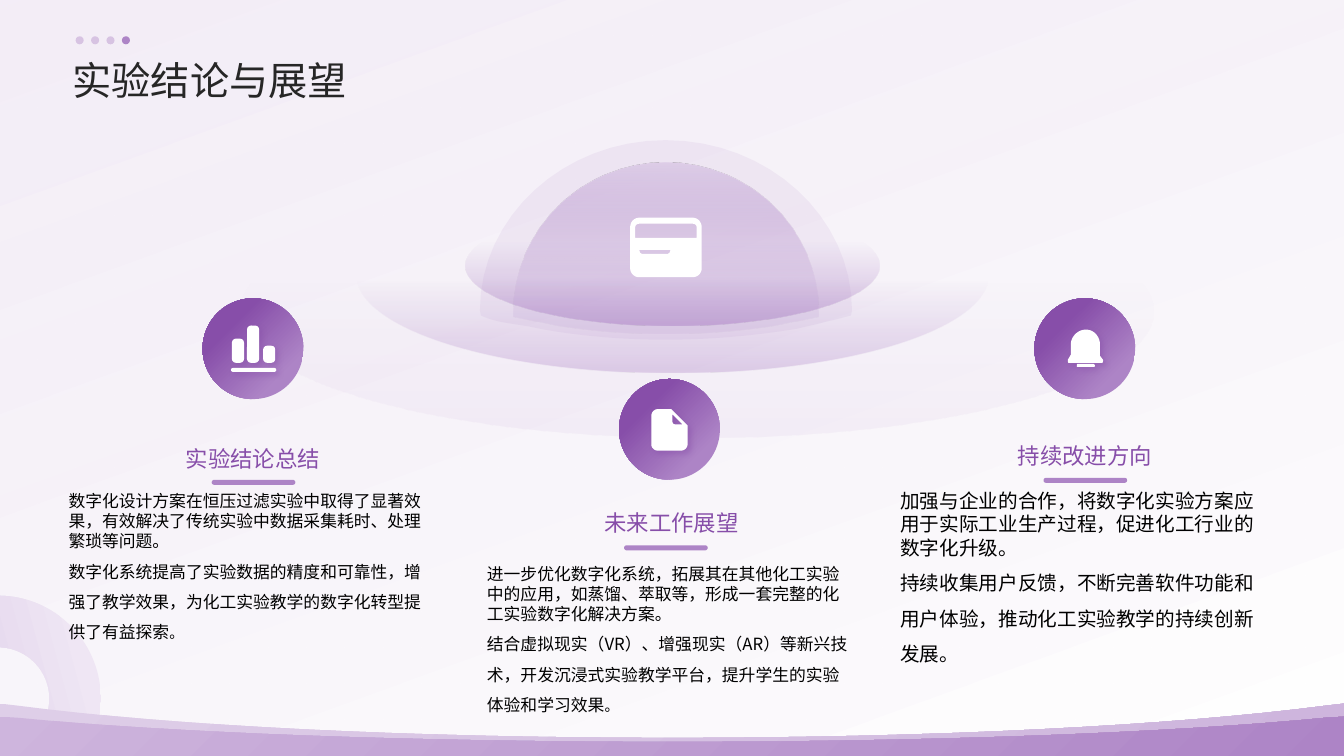
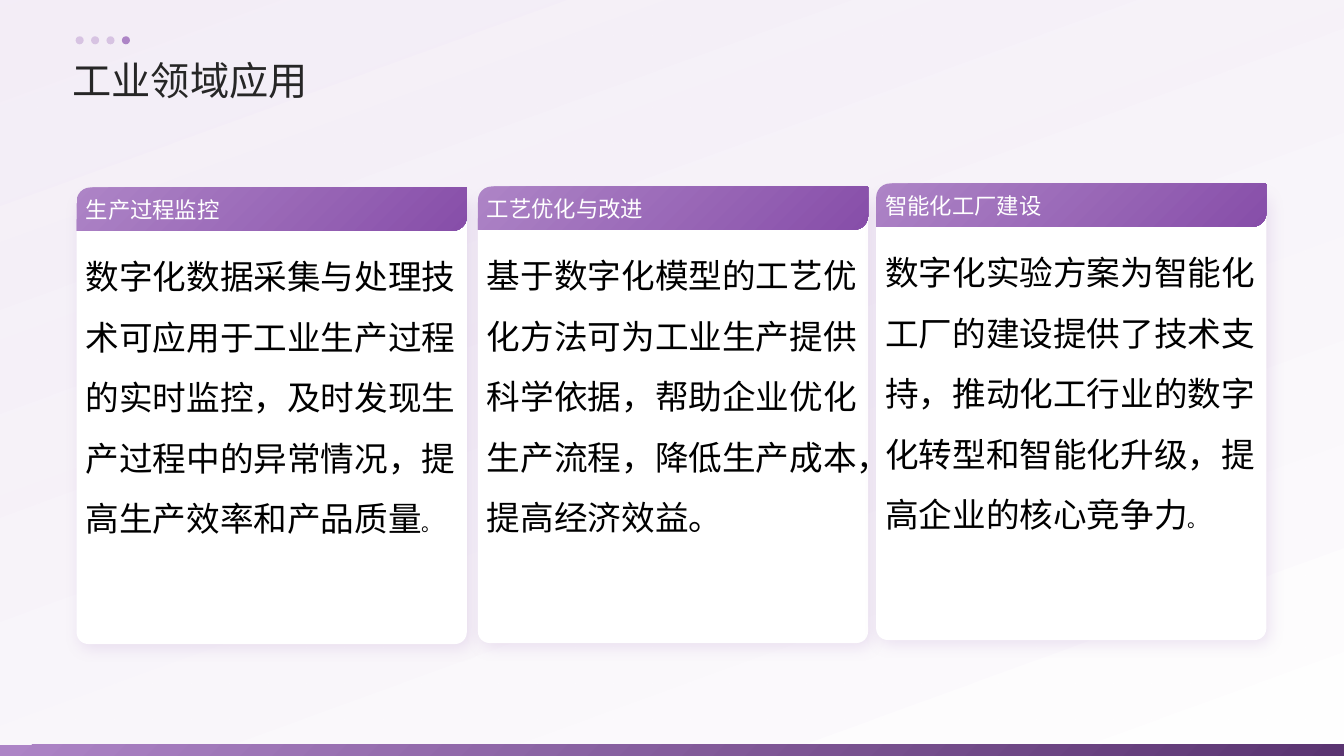
"""Build two slides: experiment conclusions and outlook, and industrial applications."""
from lxml import etree
from pptx import Presentation, util as u
from pptx.dml.color import RGBColor
from pptx.enum import shapes, text
from pptx.oxml.ns import qn

FONT = "Noto Sans CJK SC"
C = {
    "deep": "874EA9", "violet": "AD84C6", "night": "5A3471", "mid": "CEB5DD",
    "pale": "DECEE8", "mist": "EFE6F4", "white": "FFFFFF", "black": "000000", "title": "262626",
}
MSO = shapes.MSO_SHAPE
ANCHOR = text.MSO_ANCHOR
WIDTH, HEIGHT = 13.33, 7.5
WHITE = [(0, "white", 100)]
VIOLET = [(0, "violet", 100)]
ICON_SHADOW = ("deep", 40, 4, 3)
CARD_SHADOW = ("violet", 21, 11, 3)


def paint(sp, stops, angle=0, shadow=None):
    sp.shadow.inherit = False
    sp.line.fill.background()
    pr = sp._element.spPr
    if len(stops) == 1:
        sp.fill.solid()
        sp.fill.fore_color.rgb = RGBColor.from_string(C[stops[0][1]])
        if stops[0][2] < 100:
            color = pr.find(qn("a:solidFill"))[0]
            etree.SubElement(color, qn("a:alpha"), val=str(stops[0][2] * 1000))
    else:
        sp.fill.gradient()
        grad = pr.find(qn("a:gradFill"))
        grad.find(qn("a:lin")).set("ang", str(angle * 60000))
        stop_list = grad.find(qn("a:gsLst"))
        for old in list(stop_list):
            stop_list.remove(old)
        for pos, name, alpha in stops:
            stop = etree.SubElement(stop_list, qn("a:gs"), pos=str(pos * 1000))
            color = etree.SubElement(stop, qn("a:srgbClr"), val=C[name])
            etree.SubElement(color, qn("a:alpha"), val=str(alpha * 1000))
    if shadow:
        name, alpha, blur, dist = shadow
        outer = etree.SubElement(
            pr.find(qn("a:effectLst")), qn("a:outerShdw"), blurRad=str(u.Pt(blur)),
            dist=str(u.Pt(dist)), dir=str(45 * 60000), algn="tl", rotWithShape="0")
        color = etree.SubElement(outer, qn("a:srgbClr"), val=C[name])
        etree.SubElement(color, qn("a:alpha"), val=str(alpha * 1000))


def write(s, box, paragraphs, size, color, anchor=ANCHOR.TOP, align=None, tail=None):
    tf = s.shapes.add_textbox(*map(u.Inches, box)).text_frame
    tf.word_wrap = True
    tf.vertical_anchor = anchor
    tf.margin_left = tf.margin_top = tf.margin_right = tf.margin_bottom = 0
    for i, (words, spacing) in enumerate(paragraphs):
        p = tf.add_paragraph() if i else tf.paragraphs[0]
        ending = tail and i == len(paragraphs) - 1
        p.text = words[:-1] if ending else words
        if ending:
            p.add_run().text = words[-1]
        p.line_spacing = spacing
        p.alignment = align
        for r in p.runs:
            r.font.name = FONT
            r.font.size = u.Pt(size)
            r.font.color.rgb = RGBColor.from_string(C[color])
            etree.SubElement(r.font._element, qn("a:ea"), typeface=FONT)
        if ending:
            p.runs[-1].font.size = u.Pt(tail)


prs = Presentation()
prs.slide_width, prs.slide_height = u.Inches(WIDTH), u.Inches(HEIGHT)

slides = []
for title in ("实验结论与展望", "工业领域应用"):
    s = prs.slides.add_slide(prs.slide_layouts[6])
    slides.append(s)
    sp = s.shapes.add_shape(MSO.RECTANGLE, 0, 0, prs.slide_width, prs.slide_height)
    paint(sp, [(0, "mist", 67), (100, "white", 92)], 70)
    write(s, (0.72, 0.51, 11.88, 0.51), [(title, 1.1)], 28, "title", ANCHOR.MIDDLE)
    for i in range(4):
        sp = s.shapes.add_shape(MSO.OVAL, u.Inches(0.75 + i * 0.153), u.Inches(0.36),
                                u.Inches(0.08), u.Inches(0.08))
        paint(sp, [(0, "violet", 100 if i == 3 else 40)])
outlook, industry = slides

s = outlook
rings = [
    ((2.38, 1.83, 9.06, 2.51), [(0, "violet", 0), (37, "violet", 0), (100, "violet", 7)]),
    ((3.54, 1.75, 6.26, 1.95), [(53, "violet", 0), (100, "violet", 34)]),
    ((4.62, 2.04, 4.1, 1.19), [(30, "violet", 0), (100, "violet", 53)]),
]
for box, stops in rings:
    paint(s.shapes.add_shape(MSO.OVAL, *map(u.Inches, box)), stops, 90)

sp = s.shapes.add_shape(MSO.DONUT, *map(u.Inches, (-1.04, 5.91, 2.04, 2.04)))
sp.rotation = 300
paint(sp, [(22, "mist", 100), (73, "pale", 100)], 225)

columns = [
    (0.68, (2.01, 2.96), (2.1, 4.76), 4.05, 4.87, 12, 10.3, "实验结论总结",
     "数字化设计方案在恒压过滤实验中取得了显著效果，有效解决了传统实验中数据采集耗时、处理繁琐等问题。",
     "数字化系统提高了实验数据的精度和可靠性，增强了教学效果，为化工实验教学的数字化转型提供了有益探索。"),
    (4.83, (6.14, 3.76), (6.19, 5.41), 4.69, 5.59, 12, 10.3, "未来工作展望",
     "进一步优化数字化系统，拓展其在其他化工实验中的应用，如蒸馏、萃取等，形成一套完整的化工实验数字化解决方案。",
     "结合虚拟现实（VR）、增强现实（AR）等新兴技术，开发沉浸式实验教学平台，提升学生的实验体验和学习效果。"),
    (8.93, (10.26, 2.96), (10.35, 4.74), 4.02, 4.85, 14, None, "持续改进方向",
     "加强与企业的合作，将数字化实验方案应用于实际工业生产过程，促进化工行业的数字化升级。",
     "持续收集用户反馈，不断完善软件功能和用户体验，推动化工实验教学的持续创新发展。"),
]
for x, disc, rule, head_y, body_y, size, tail, head, first, second in columns:
    sp = s.shapes.add_shape(MSO.OVAL, *map(u.Inches, (*disc, 1, 1)))
    paint(sp, [(22, "violet", 100), (73, "deep", 100)], 225)
    sp = s.shapes.add_shape(MSO.ROUNDED_RECTANGLE, *map(u.Inches, (*rule, 0.83, 0.05)))
    sp.adjustments[0] = 0.5
    paint(sp, VIOLET)
    write(s, (x, head_y, 3.66, 0.63), [(head, 1.3)], 16, "deep",
          ANCHOR.BOTTOM, text.PP_ALIGN.CENTER)
    write(s, (x, body_y, 3.66, 1.36), [(first, 1.0), (second, 1.5)], size, "black", tail=tail)

halo = """M 6.6 1.39, C 7.62 1.39 8.45 2.15 8.45 3.08, L 8.44 3.13, C 8.25 3.18 8.08 3.22 7.91 3.26,
    C 7.49 3.33 7.04 3.37 6.6 3.37, C 6.17 3.37 5.69 3.33 5.3 3.25,
    C 5.12 3.21 4.94 3.21 4.77 3.13, L 4.76 3.08, C 4.76 2.15 5.59 1.39 6.6 1.39"""
dome = """M 6.6 1.61, C 7.44 1.61 8.12 2.27 8.12 3.1, L 8.12 3.14 7.68 3.23,
    C 7.35 3.28 6.98 3.31 6.6 3.31, C 6.22 3.31 5.86 3.28 5.53 3.23, L 5.09 3.14 5.09 3.1,
    C 5.09 2.27 5.77 1.61 6.6 1.61"""
back_wave = """M 0 6.98, L 0.17 7, C 1.71 7.2 4.05 7.32 6.67 7.32, C 9.28 7.32 11.62 7.2 13.16 7,
    L 13.33 6.98 13.33 7.5 0 7.5"""
front_wave = """M 0 7.11, L 0.17 7.12, C 1.71 7.27 4.05 7.36 6.67 7.36,
    C 9.28 7.36 11.62 7.27 13.16 7.12, L 13.33 7.11 13.33 7.5 0 7.5"""
window = """M 6.34 2.48, L 6.35 2.51, C 6.36 2.51 6.36 2.52 6.37 2.52, L 6.62 2.52,
    C 6.63 2.52 6.63 2.51 6.64 2.51, L 6.65 2.48,
    M 6.34 2.22, C 6.32 2.22 6.3 2.23 6.3 2.26, L 6.3 2.36 6.91 2.36 6.91 2.26,
    C 6.91 2.23 6.89 2.22 6.87 2.22,
    M 6.34 2.16, L 6.87 2.16, C 6.92 2.16 6.96 2.2 6.96 2.26, L 6.96 2.66,
    C 6.96 2.71 6.92 2.75 6.87 2.75, L 6.34 2.75, C 6.29 2.75 6.25 2.71 6.25 2.66,
    L 6.25 2.26, C 6.25 2.2 6.29 2.16 6.34 2.16"""
bell = """M 10.69 3.61, L 10.84 3.61, C 10.85 3.61 10.86 3.62 10.86 3.63,
    C 10.86 3.64 10.85 3.64 10.84 3.64, L 10.69 3.64, C 10.68 3.64 10.68 3.64 10.68 3.63,
    C 10.68 3.62 10.68 3.61 10.69 3.61,
    M 10.77 3.27, C 10.85 3.27 10.91 3.34 10.91 3.42, L 10.91 3.53 10.94 3.57,
    C 10.94 3.58 10.94 3.6 10.93 3.6, L 10.6 3.6, C 10.59 3.6 10.59 3.58 10.59 3.57,
    L 10.62 3.52 10.62 3.42, C 10.62 3.34 10.69 3.27 10.77 3.27"""
page = """M 6.67 4.11, L 6.67 4.18, C 6.67 4.2 6.68 4.21 6.7 4.21, L 6.77 4.21,
    M 6.52 4.06, L 6.65 4.06, C 6.66 4.06 6.66 4.06 6.66 4.06, L 6.82 4.22 6.82 4.41,
    C 6.82 4.44 6.79 4.47 6.76 4.47, L 6.52 4.47, C 6.49 4.47 6.46 4.44 6.46 4.41,
    L 6.46 4.13, C 6.46 4.09 6.49 4.06 6.52 4.06"""
outlines = [
    (halo, [(0, "violet", 10)], 0, None),
    (dome, [(33, "violet", 12), (100, "pale", 100)], 270, None),
    (back_wave, [(0, "pale", 100), (100, "mid", 100)], 45, None),
    (front_wave, [(0, "mid", 100), (100, "violet", 100)], 45, None),
    (window, WHITE, 0, None),
    (bell, WHITE, 0, ICON_SHADOW),
    (page, WHITE, 0, ICON_SHADOW),
]
for outline, stops, angle, shadow in outlines:
    contours = []
    for segment in outline.split(","):
        command, *numbers = segment.split()
        values = [u.Inches(float(n)) for n in numbers]
        points = list(zip(values[::2], values[1::2]))
        if command == "M":
            contours.append(points)
        elif command == "L":
            contours[-1] += points
        else:
            curve = [contours[-1][-1]] + points
            for t in (k / 16 for k in range(1, 17)):
                weights = ((1 - t) ** 3, 3 * t * (1 - t) ** 2, 3 * t * t * (1 - t), t ** 3)
                contours[-1].append(tuple(
                    sum(w * pt[axis] for w, pt in zip(weights, curve)) for axis in (0, 1)))
    builder = s.shapes.build_freeform(*contours[0][0])
    builder.add_line_segments(contours[0][1:], close=True)
    for contour in contours[1:]:
        builder.move_to(*contour[0])
        builder.add_line_segments(contour[1:], close=True)
    paint(builder.convert_to_shape(), stops, angle, shadow)

chart_bars = [
    (2.3, 3.36, 0.12, 0.24, 0.33), (2.45, 3.23, 0.12, 0.37, 0.33),
    (2.61, 3.43, 0.12, 0.17, 0.33), (2.29, 3.65, 0.45, 0.04, 0.5),
]
for *box, corner in chart_bars:
    sp = s.shapes.add_shape(MSO.ROUNDED_RECTANGLE, *map(u.Inches, box))
    sp.adjustments[0] = corner
    paint(sp, WHITE, shadow=ICON_SHADOW)

s = industry
sp = s.shapes.add_shape(MSO.RECTANGLE, 0, u.Inches(7.39), prs.slide_width, u.Inches(0.11))
paint(sp, [(0, "violet", 100), (100, "night", 100)], 45)

cards = [
    (0.76, 1.86, 14, "生产过程监控",
     "数字化数据采集与处理技术可应用于工业生产过程的实时监控，及时发现生产过程中的异常情况，提高生产效率和产品质量。"),
    (4.74, 1.85, None, "工艺优化与改进",
     "基于数字化模型的工艺优化方法可为工业生产提供科学依据，帮助企业优化生产流程，降低生产成本，提高经济效益。"),
    (8.69, 1.82, 14, "智能化工厂建设",
     "数字化实验方案为智能化工厂的建设提供了技术支持，推动化工行业的数字化转型和智能化升级，提高企业的核心竞争力。"),
]
for x, y, tail, head, body in cards:
    sp = s.shapes.add_shape(MSO.ROUNDED_RECTANGLE, *map(u.Inches, (x, y + 0.1, 3.87, 4.43)))
    sp.adjustments[0] = 0.03
    paint(sp, WHITE, shadow=CARD_SHADOW)
    sp = s.shapes.add_shape(MSO.ROUND_2_DIAG_RECTANGLE, *map(u.Inches, (x, y, 3.87, 0.43)))
    sp.adjustments[0] = 0.32
    sp.adjustments[1] = 0
    paint(sp, [(0, "violet", 100), (100, "deep", 100)], 45)
    write(s, (x + 0.09, y + 0.04, 3.75, 0.35), [(head, 1.0)], 16, "white", ANCHOR.MIDDLE)
    write(s, (x + 0.09, y + 0.48, 3.75, 3.88), [(body, 1.5)], 24, "black", tail=tail)

prs.save("out.pptx")
